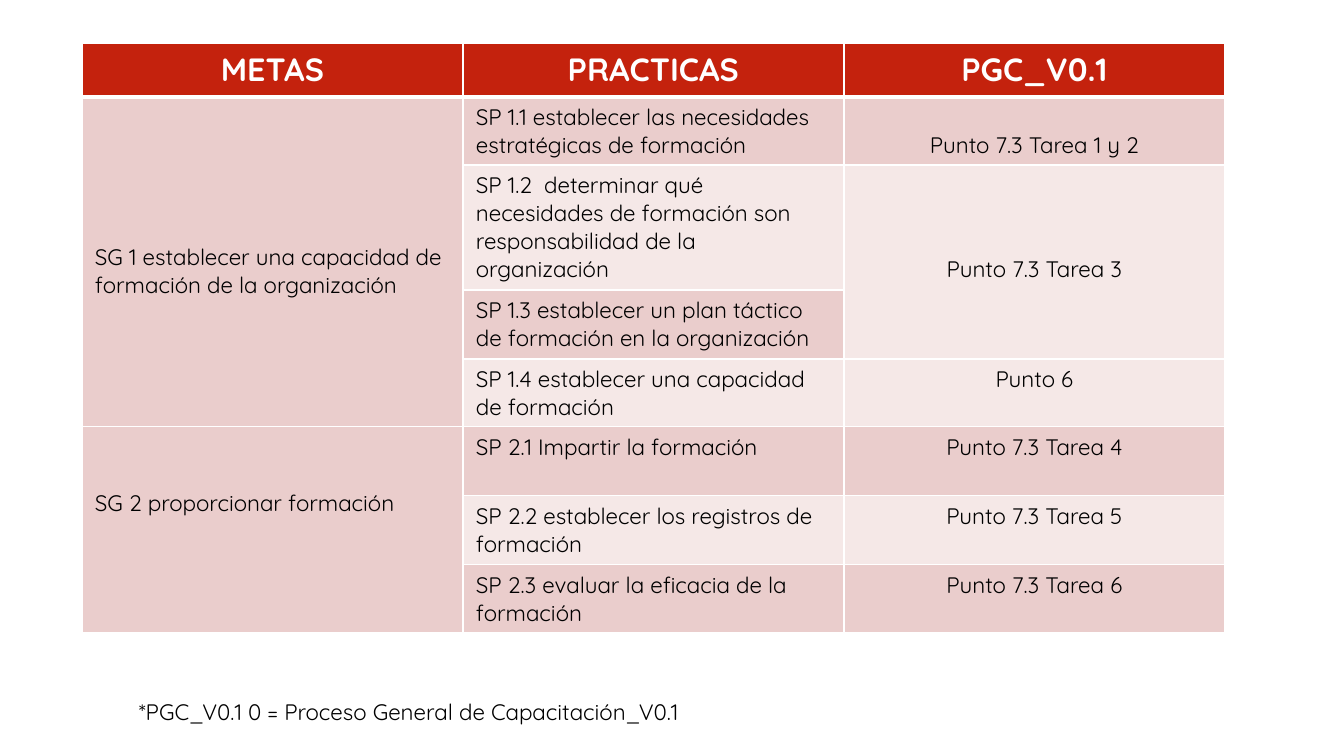
"""Build the slide that maps training goals and practices to the PGC process."""
from lxml.etree import SubElement
from pptx import Presentation
from pptx.dml.color import RGBColor
from pptx.enum.text import MSO_ANCHOR, PP_ALIGN
from pptx.oxml.ns import qn
from pptx.util import Emu, Pt

FONT = "Quicksand"
LINE_HEIGHT = 28
COLUMN_WIDTH = 381
ROW_HEIGHTS = [54, 68, 125, 69, 68, 69, 69, 68]
HEADER_FILL, DARK_BAND, LIGHT_BAND = "C4220D", "EACDCC", "F5E8E7"


def px(pixels):
    return Emu(round(pixels * 914400 / 100.8))


def style(paragraph, size, color, bold=False):
    paragraph.font.name = FONT
    paragraph.font.size = Pt(size)
    paragraph.font.bold = bold
    paragraph.font.color.rgb = RGBColor.from_string(color)


presentation = Presentation()
presentation.slide_width, presentation.slide_height = px(1344), px(756)
slide = presentation.slides.add_slide(presentation.slide_layouts[6])

rows = [
    ("METAS", "PRACTICAS", "PGC_V0.1"),
    ("SG 1 establecer una capacidad de formación de la organización",
     "SP 1.1 establecer las necesidades estratégicas de formación",
     "Punto 7.3 Tarea 1 y 2"),
    ("", "SP 1.2  determinar qué necesidades de formación son "
     "responsabilidad de la organización", "Punto 7.3 Tarea 3"),
    ("", "SP 1.3 establecer un plan táctico de formación en la organización", ""),
    ("", "SP 1.4 establecer una capacidad de formación", "Punto 6"),
    ("SG 2 proporcionar formación", "SP 2.1 Impartir la formación",
     "Punto 7.3 Tarea 4"),
    ("", "SP 2.2 establecer los registros de formación", "Punto 7.3 Tarea 5"),
    ("", "SP 2.3 evaluar la eficacia de la formación", "Punto 7.3 Tarea 6"),
]
lines_above = {(1, 0): 5, (1, 2): 1, (2, 2): 3, (5, 0): 2}
merges = [((1, 0), (4, 0)), ((2, 2), (3, 2)), ((5, 0), (7, 0))]

table = slide.shapes.add_table(
    len(rows), 3, px(82), px(43), px(3 * COLUMN_WIDTH), px(sum(ROW_HEIGHTS))).table
for column in table.columns:
    column.width = px(COLUMN_WIDTH)
for row, height in zip(table.rows, ROW_HEIGHTS):
    row.height = px(height)
for first, last in merges:
    table.cell(*first).merge(table.cell(*last))

for row_index, texts in enumerate(rows):
    is_header = row_index == 0
    band = HEADER_FILL if is_header else DARK_BAND if row_index % 2 else LIGHT_BAND
    for column_index, text in enumerate(texts):
        cell = table.cell(row_index, column_index)
        cell.margin_left = cell.margin_right = px(13)
        cell.margin_bottom = px(6)
        cell.margin_top = px(
            6 + LINE_HEIGHT * lines_above.get((row_index, column_index), 0))
        cell.vertical_anchor = MSO_ANCHOR.TOP

        widths = {"L": 1, "R": 1, "T": 3 if row_index == 1 else 1,
                  "B": 3 if is_header else 1}
        properties = cell._tc.get_or_add_tcPr()
        for side, width in widths.items():
            border = SubElement(properties, qn(f"a:ln{side}"), w=str(Pt(width)))
            border_fill = SubElement(border, qn("a:solidFill"))
            SubElement(border_fill, qn("a:srgbClr"), val="FFFFFF")
        cell.fill.solid()
        cell.fill.fore_color.rgb = RGBColor.from_string(band)

        if text:
            cell.text = text
            paragraph = cell.text_frame.paragraphs[0]
            centered = is_header or column_index == 2
            paragraph.alignment = PP_ALIGN.CENTER if centered else PP_ALIGN.LEFT
            if is_header:
                style(paragraph, 23, "FFFFFF", bold=True)
            else:
                style(paragraph, 16, "000000")

footnote = slide.shapes.add_textbox(px(129), px(693), px(809), px(37))
footnote.text_frame.word_wrap = True
footnote.text_frame.text = "*PGC_V0.1 0 = Proceso General de Capacitación_V0.1"
style(footnote.text_frame.paragraphs[0], 16, "000000")

presentation.save("out.pptx")
